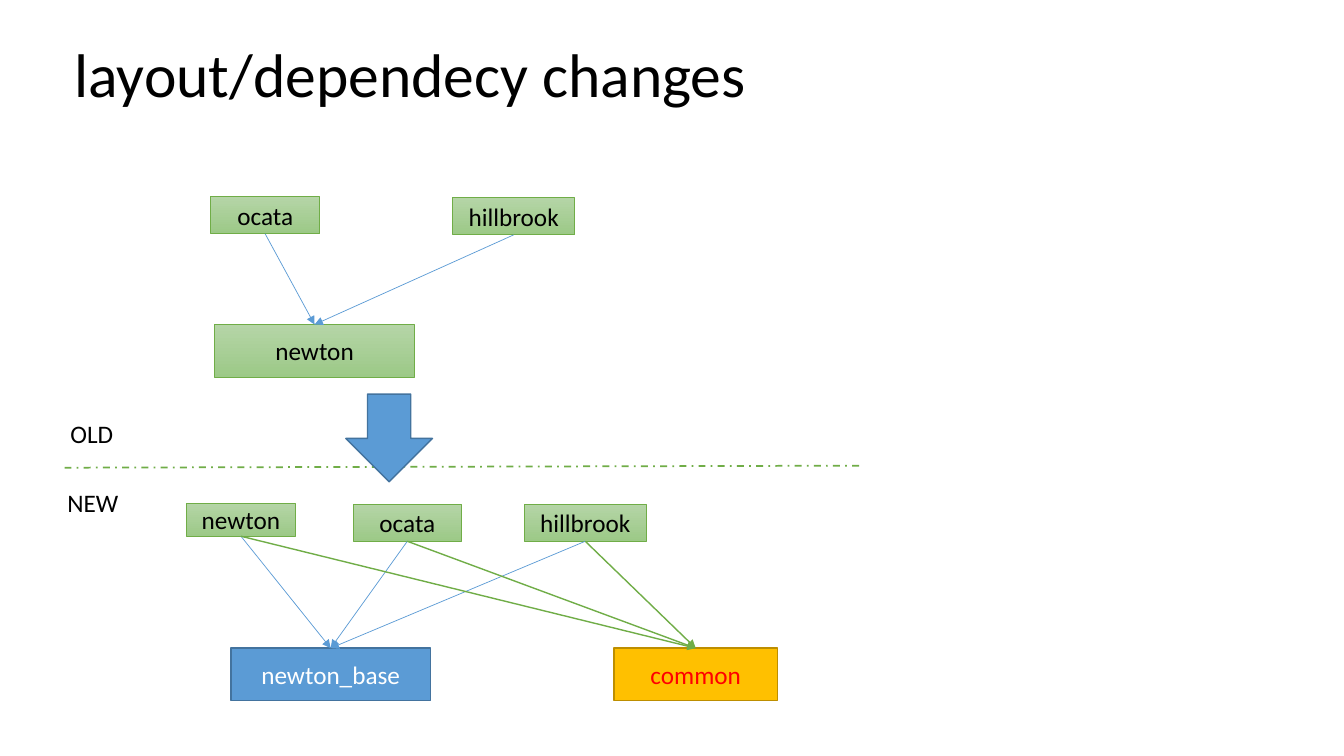
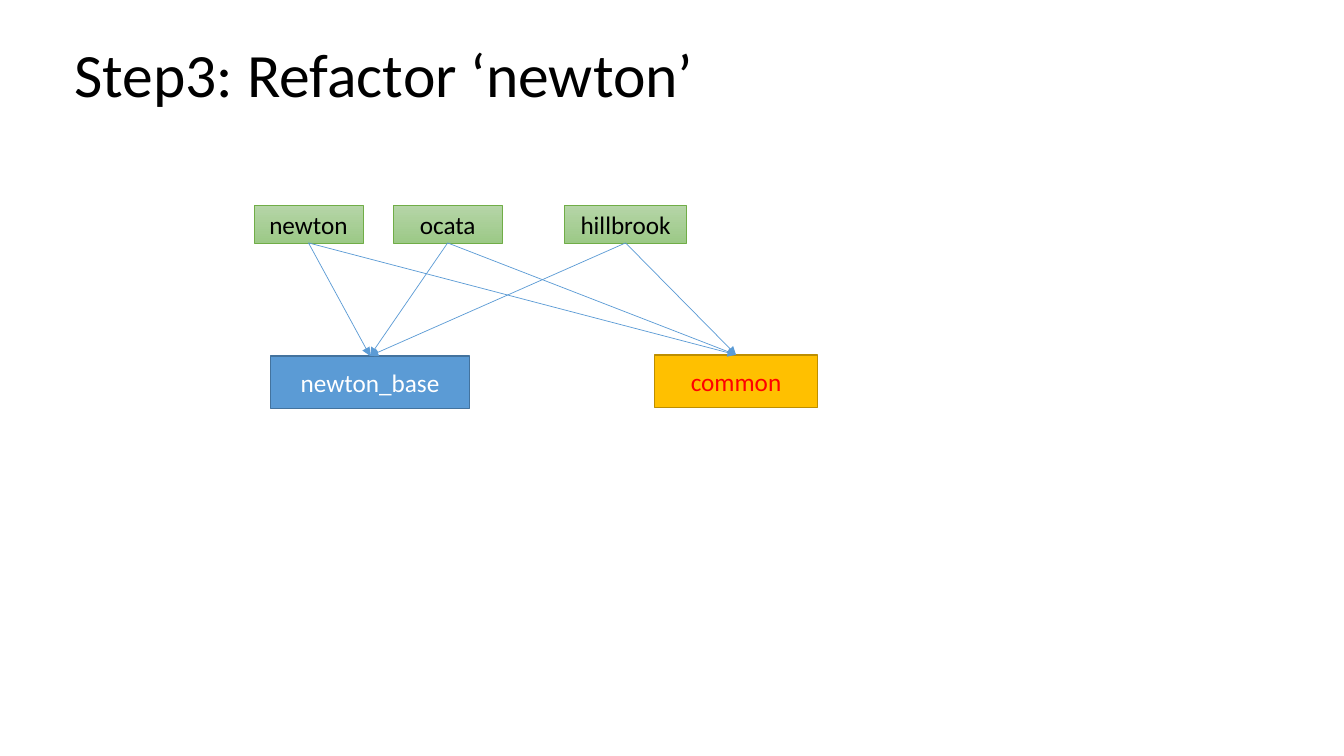
from lxml.etree import SubElement
from pptx import Presentation
from pptx.dml.color import RGBColor
from pptx.enum.dml import MSO_LINE
from pptx.enum.shapes import MSO_CONNECTOR, MSO_SHAPE
from pptx.enum.text import MSO_ANCHOR, PP_ALIGN
from pptx.oxml.ns import qn
from pptx.util import Pt

PX = 9144  # 100 px to the inch
FONT = "Calibri"
COLORS = {
    "black": "000000",
    "white": "FFFFFF",
    "red": "FF0000",
    "blue": "5B9BD5",
    "blue_edge": "43739E",
    "gold": "FFC000",
    "gold_edge": "BD8E00",
    "green": "70AD47",
    "green_top": "B5D5A7",
    "green_bottom": "9CC987",
}
# Fills (two for a gradient), edge, edge width, text colour
STYLES = {
    "branch": (("green_top", "green_bottom"), "green", 0.5, "black"),
    "base": (("blue",), "blue_edge", 1, "white"),
    "common": (("gold",), "gold_edge", 1, "red"),
}
BOTTOM_SITE, TOP_SITE = 2, 0
SMALL, WIDE, BASE, COMMON = (108, 37), (121, 37), (198, 52), (162, 52)


def rgb(name):
    return RGBColor.from_string(COLORS[name])


def px(*lengths):
    return [length * PX for length in lengths]


def write(shape, text, size, color):
    para = shape.text_frame.paragraphs[0]
    para.text = text
    para.font.name = FONT
    para.font.size = Pt(size)
    para.font.color.rgb = rgb(color)
    return para


def add_text(page, text, left, top, width, height, size=18, wrap=False):
    box = page.shapes.add_textbox(*px(left, top, width, height))
    box.text_frame.word_wrap = wrap
    return box, write(box, text, size, "black")


def add_page(deck, title):
    page = deck.slides.add_slide(deck.slide_layouts[6])
    box, para = add_text(page, title, 64, 4, 1150, 145, 44, True)
    box.text_frame.vertical_anchor = MSO_ANCHOR.MIDDLE
    para.line_spacing = 0.9
    return page


def add_figure(page, kind, style, left, top, size):
    fills, edge, edge_width, _ = STYLES[style]
    figure = page.shapes.add_shape(kind, *px(left, top, *size))
    figure.shadow.inherit = False
    if len(fills) == 1:
        figure.fill.solid()
        figure.fill.fore_color.rgb = rgb(fills[0])
    else:
        figure.fill.gradient()
        figure.fill.gradient_angle = 270
        for stop, fill in zip(figure.fill.gradient_stops, fills):
            stop.color.rgb = rgb(fill)
    figure.line.color.rgb = rgb(edge)
    figure.line.width = Pt(edge_width)
    return figure


def add_box(page, text, style, left, top, size):
    box = add_figure(page, MSO_SHAPE.RECTANGLE, style, left, top, size)
    box.text_frame.vertical_anchor = MSO_ANCHOR.MIDDLE
    write(box, text, 18, STYLES[style][3]).alignment = PP_ALIGN.CENTER
    return box


def add_line(page, start, end, color, width):
    line = page.shapes.add_connector(MSO_CONNECTOR.STRAIGHT, *px(*start, *end))
    line.line.color.rgb = rgb(color)
    line.line.width = Pt(width)
    SubElement(line._element.spPr, qn("a:effectLst"))
    return line


def add_dependencies(page, branches, target, color="blue", width=0.5):
    """Draw an arrow from the bottom of each branch to the top of the target."""
    for branch in branches:
        arrow = add_line(page, (0, 0), (0, 0), color, width)
        arrow.begin_connect(branch, BOTTOM_SITE)
        arrow.end_connect(target, TOP_SITE)
        SubElement(arrow.line._get_or_add_ln(), qn("a:tailEnd"), type="triangle")


def add_new_layout(page, newton, ocata, vendor, base, common, common_arrow):
    """Draw three branches that depend on newton_base and on common."""
    common_box = add_box(page, "common", "common", *common, COMMON)
    base_box = add_box(page, "newton_base", "base", *base, BASE)
    branches = [
        add_box(page, "newton", "branch", *newton),
        add_box(page, "ocata", "branch", *ocata, SMALL),
        add_box(page, "hillbrook", "branch", *vendor, WIDE),
    ]
    add_dependencies(page, branches, base_box)
    add_dependencies(page, branches, common_box, *common_arrow)


def add_old_layout(page):
    newton = add_box(page, "newton", "branch", 213, 322, BASE)
    branches = [
        add_box(page, "ocata", "branch", 209, 195, SMALL),
        add_box(page, "hillbrook", "branch", 449, 196, WIDE),
    ]
    add_dependencies(page, branches, newton)


def build_changes(deck):
    page = add_page(deck, "layout/dependecy changes")
    add_new_layout(page, newton=(185, 499, (108, 33)), ocata=(350, 500),
                   vendor=(520, 500), base=(229, 643), common=(609, 643),
                   common_arrow=("green", 1))
    divider = add_line(page, (64, 464), (853, 462), "green", 1.25)
    divider.line.dash_style = MSO_LINE.DASH_DOT
    add_old_layout(page)
    add_text(page, "OLD", 60, 410, 63, 40)
    add_text(page, "NEW", 57, 479, 71, 40)
    add_figure(page, MSO_SHAPE.DOWN_ARROW, "base", 343, 391, (86, 87))


def build_refactor(deck):
    page = add_page(deck, "Step3: Refactor ‘newton’")
    add_new_layout(page, newton=(252, 204, SMALL), ocata=(390, 204),
                   vendor=(560, 204), base=(268, 353), common=(649, 352),
                   common_arrow=("blue", 0.5))


def main():
    deck = Presentation()
    deck.slide_width, deck.slide_height = px(1333, 750)
    build_changes(deck)
    build_refactor(deck)
    deck.save("out.pptx")


if __name__ == "__main__":
    main()
